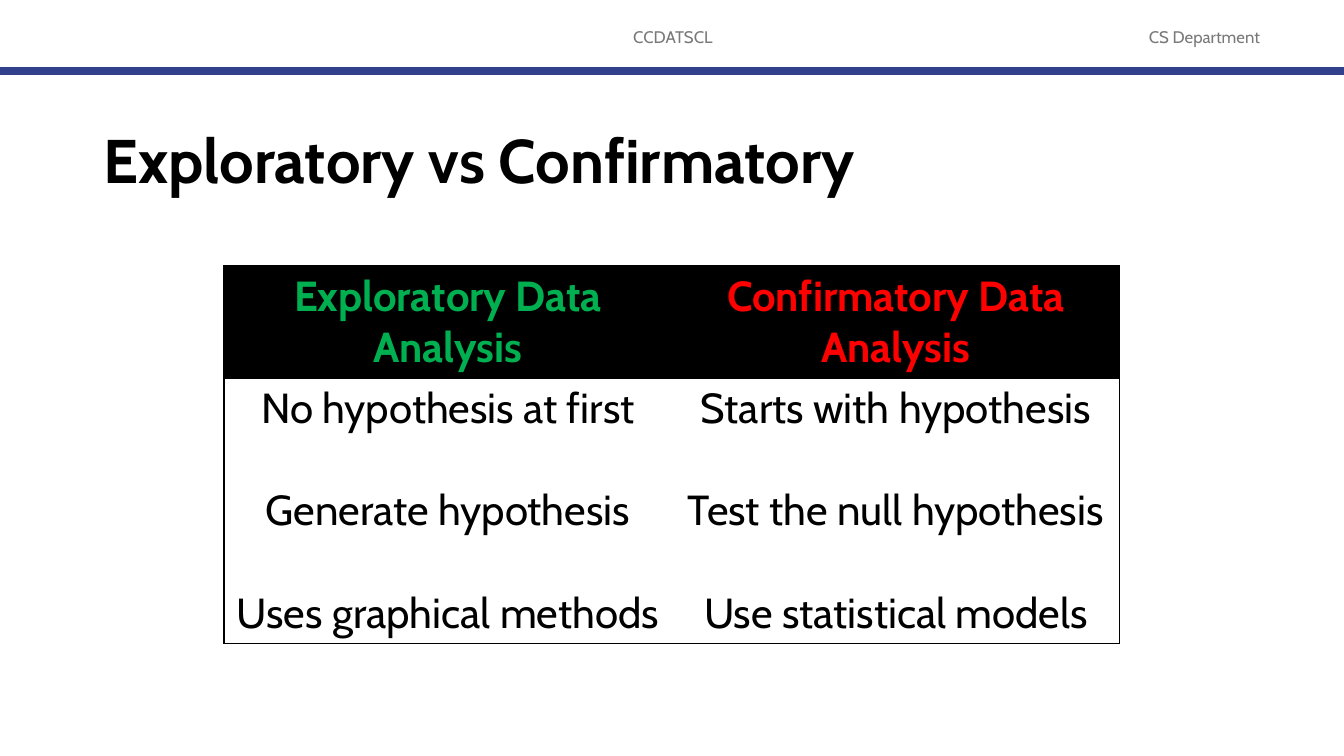
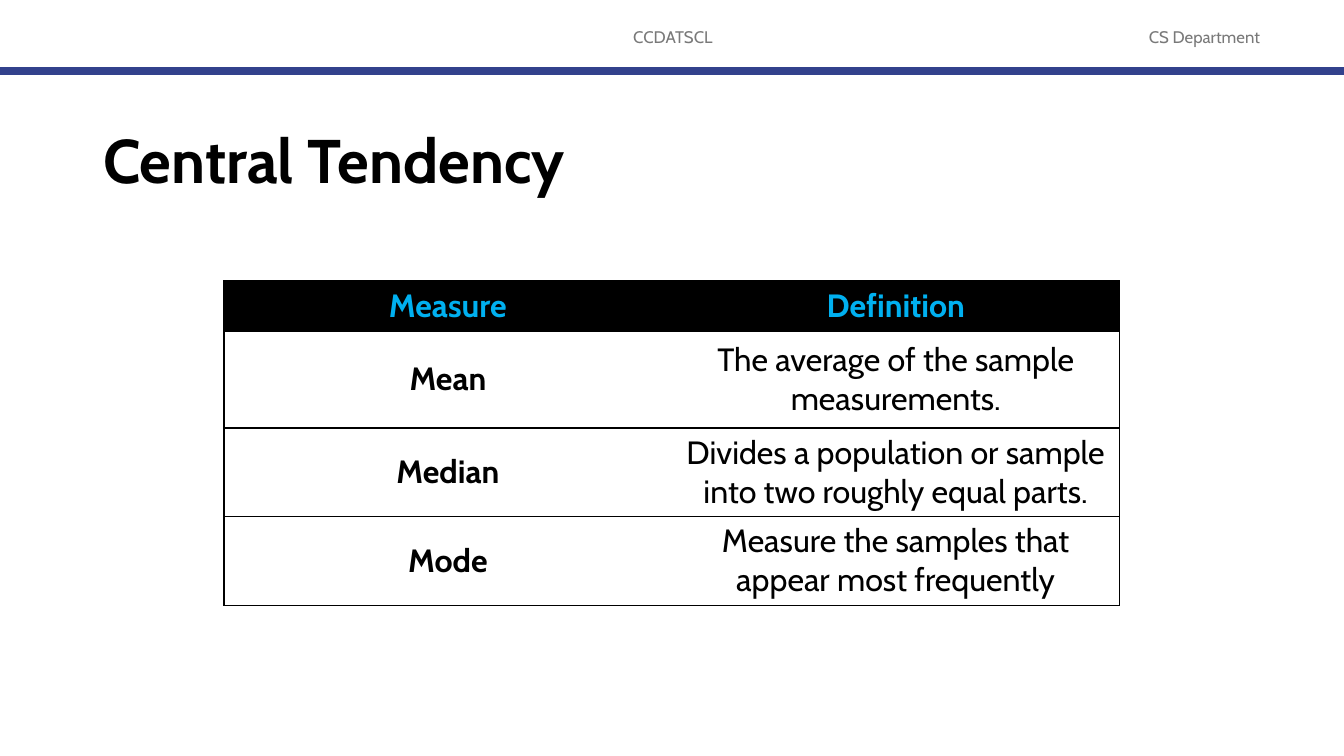
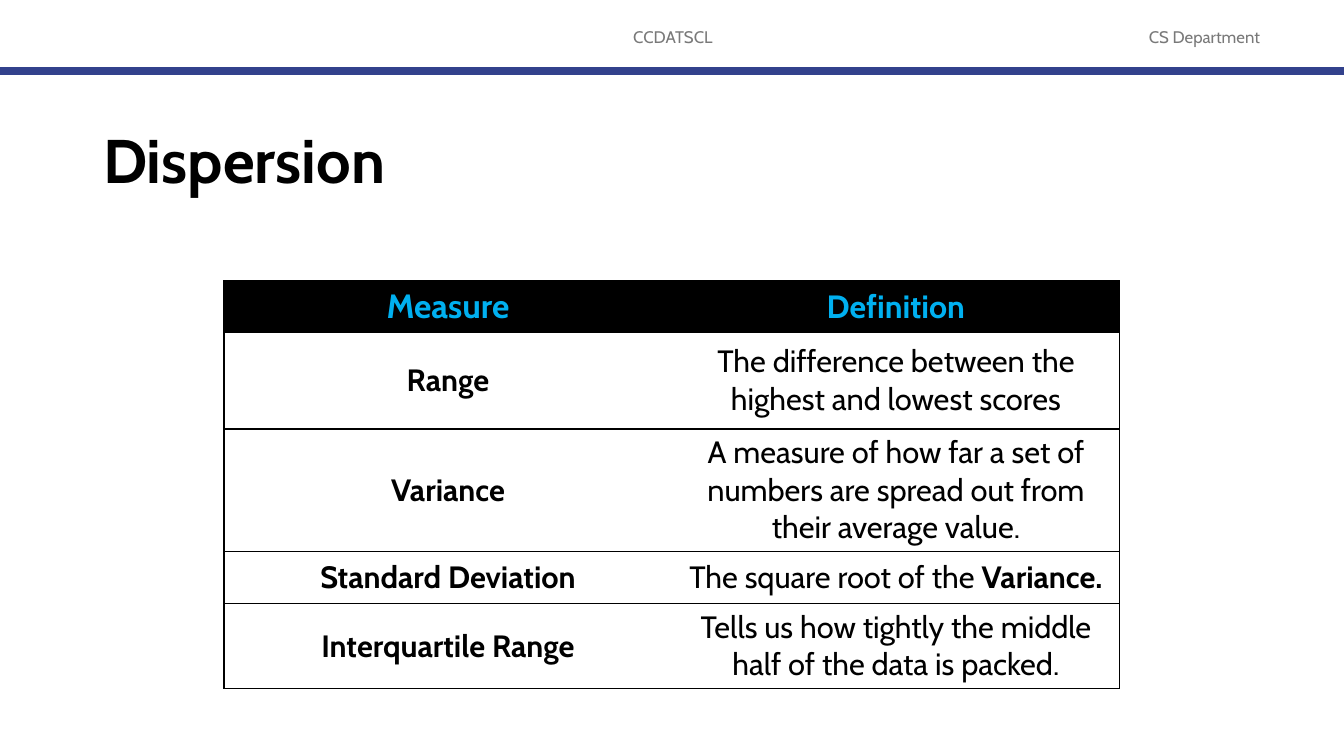
"""Build three data analysis slides, each with a title and a two-column table."""
from lxml import etree
from pptx import Presentation
from pptx import util as u
from pptx.dml.color import RGBColor
from pptx.enum import shapes, text
from pptx.oxml import ns

COLORS = {"black": "000000", "white": "FFFFFF", "gray": "797979", "navy": "32418C",
          "green": "00B050", "red": "FF0000", "sky": "00B0F0"}
FONT = "Cabin"
PAGE_WIDTH, PAGE_HEIGHT = 1344, 756
SCALE = 12192000 / PAGE_WIDTH

RUNNING_HEADS = [("CCDATSCL", (446, 17, 454, 40)),
                 ("CS Department", (1101, 17, 207, 40))]
RULE_Y = 71
TITLE_AREA = (93, 91, 1159, 146)
TABLE_LEFT, COLUMN_WIDTH = 224, 448

# Text between asterisks is bold.
PAGES = [
    {"title": "Exploratory vs Confirmatory", "top": 266, "size": 30, "anchor": "TOP",
     "heights": [112, 265],
     "header": [("Exploratory Data Analysis", "green", 30),
                ("Confirmatory Data Analysis", "red", 30)],
     "rows": [(["No hypothesis at first", "Generate hypothesis", "Uses graphical methods"],
               ["Starts with hypothesis", "Test the null hypothesis", "Use statistical models"])]},
    {"title": "Central Tendency", "top": 281, "size": 23, "anchor": "MIDDLE",
     "heights": [50, 97, 88, 89],
     "header": [("Measure", "sky", 23), ("Definition", "sky", 23)],
     "rows": [(["*Mean*"], ["The average of the sample measurements."]),
              (["*Median*"], ["Divides a population or sample into two roughly equal parts."]),
              (["*Mode*"], ["Measure the samples that appear most frequently"])]},
    {"title": "Dispersion", "top": 281, "size": 22, "anchor": "MIDDLE",
     "heights": [51, 97, 122, 52, 85],
     "header": [("Measure", "sky", 24), ("Definition", "sky", 23)],
     "rows": [(["*Range*"], ["The difference between the highest and lowest scores"]),
              (["*Variance*"], ["A measure of how far a set of numbers are spread out "
                                "from their average value."]),
              (["*Standard Deviation*"], ["The square root of the *Variance.*"]),
              (["*Interquartile Range*"], ["Tells us how tightly the middle half of the data "
                                           "is packed."])]},
]


def px(length):
    return u.Emu(round(length * SCALE))


def rgb(name):
    return RGBColor.from_string(COLORS[name])


def write(frame, paragraphs, size, color="black", bold=False, align="CENTER", gap=0, spacing=1.0):
    frame.word_wrap = True
    for index, content in enumerate(paragraphs):
        para = frame.add_paragraph() if index else frame.paragraphs[0]
        para.alignment = getattr(text.PP_ALIGN, align)
        para.line_spacing = spacing
        para.space_before = u.Pt(gap if index else 0)
        for position, part in enumerate(content.split("*")):
            if part:
                span = para.add_run()
                span.text = part
                span.font.name = FONT
                span.font.size = u.Pt(size)
                span.font.bold = bold or position % 2 == 1
                span.font.color.rgb = rgb(color)


def add_shared_band(layout, page):
    title = layout.placeholders[0]
    title.left, title.top, title.width, title.height = map(px, TITLE_AREA)
    rule = page.shapes.add_connector(shapes.MSO_CONNECTOR.STRAIGHT,
                                     0, px(RULE_Y), px(PAGE_WIDTH), px(RULE_Y))
    rule.line.color.rgb = rgb("navy")
    rule.line.width = u.Pt(6)
    etree.SubElement(rule.element.spPr, ns.qn("a:effectLst"))
    band = [rule]
    for label, area in RUNNING_HEADS:
        box = page.shapes.add_textbox(*map(px, area))
        box.text_frame.vertical_anchor = text.MSO_ANCHOR.MIDDLE
        write(box.text_frame, [label], 12, "gray")
        band.append(box)
    for shape in band:
        layout.shapes.element.append(shape.element)


def set_borders(cell, column):
    properties = cell._tc.get_or_add_tcPr()
    visible = {"lnL": column == 0, "lnR": column == 1, "lnT": True, "lnB": True}
    for side, shown in visible.items():
        line = etree.SubElement(properties, ns.qn(f"a:{side}"), w=str(u.Pt(1)))
        if shown:
            fill = etree.SubElement(line, ns.qn("a:solidFill"))
            etree.SubElement(fill, ns.qn("a:srgbClr"), val=COLORS["black"])
        else:
            etree.SubElement(line, ns.qn("a:noFill"))


def add_comparison(page, top, size, anchor, heights, header, rows):
    table = page.shapes.add_table(len(heights), 2, px(TABLE_LEFT), px(top),
                                  px(2 * COLUMN_WIDTH), px(sum(heights))).table
    for column in table.columns:
        column.width = px(COLUMN_WIDTH)
    for row, height in zip(table.rows, heights):
        row.height = px(height)
    headings = [([label], label_size, color, True) for label, color, label_size in header]
    body = [[(cell, size, "black", False) for cell in row] for row in rows]
    for r, row in enumerate([headings] + body):
        for c, (paragraphs, points, color, bold) in enumerate(row):
            cell = table.cell(r, c)
            set_borders(cell, c)
            cell.fill.solid()
            cell.fill.fore_color.rgb = rgb("white" if r else "black")
            cell.vertical_anchor = getattr(text.MSO_ANCHOR, anchor)
            write(cell.text_frame, paragraphs, points, color, bold, gap=36.5)


def main():
    deck = Presentation()
    deck.slide_width, deck.slide_height = px(PAGE_WIDTH), px(PAGE_HEIGHT)
    layout = deck.slide_layouts.get_by_name("Title Only")
    for number, content in enumerate(PAGES):
        page = deck.slides.add_slide(layout)
        if number == 0:
            add_shared_band(layout, page)
        frame = page.shapes.title.text_frame
        frame.auto_size = text.MSO_AUTO_SIZE.NONE
        frame.vertical_anchor = text.MSO_ANCHOR.MIDDLE
        write(frame, [content["title"]], 44, bold=True, align="LEFT", spacing=0.9)
        add_comparison(page, **{key: value for key, value in content.items() if key != "title"})
    deck.save("out.pptx")


if __name__ == "__main__":
    main()
